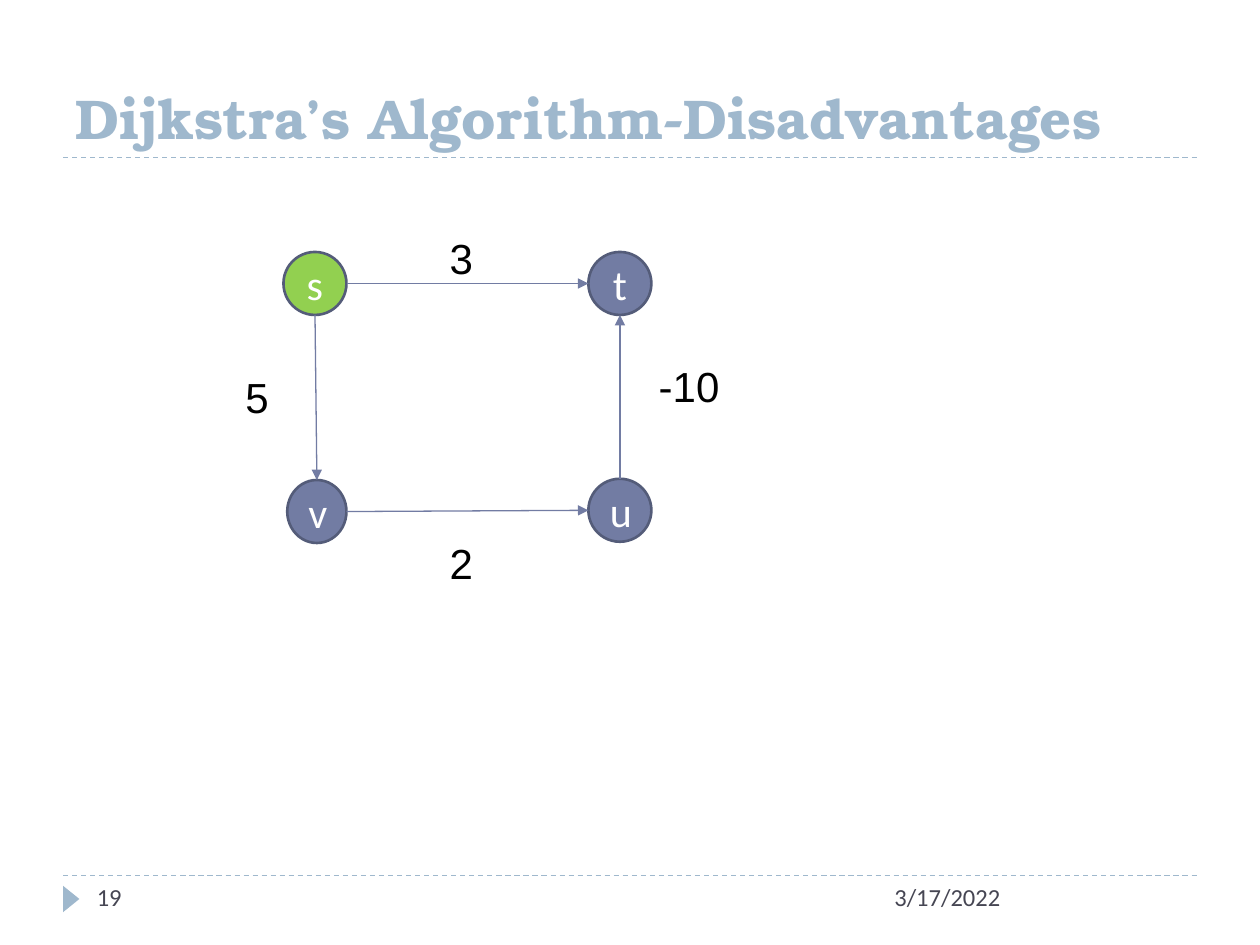
from dataclasses import dataclass

import pptx
import pptx.dml.color
import pptx.enum.dml
import pptx.enum.shapes
import pptx.enum.text
import pptx.oxml.ns
import pptx.util
from lxml import etree

SHAPE = pptx.enum.shapes.MSO_SHAPE
ANCHOR = pptx.enum.text.MSO_ANCHOR
ALIGN = pptx.enum.text.PP_ALIGN
COLUMNS, ROWS = 40, 30


@dataclass(frozen=True)
class Theme:
    accent: str = "9FB8CD"
    node: str = "727CA3"
    source_node: str = "92D050"
    outline: str = "545C79"
    node_text: str = "FFFFFF"
    weight_text: str = "000000"
    footer_text: str = "464653"
    title_font: str = "TeX Gyre Bonum"
    body_font: str = "Calibri"
    weight_font: str = "Arial"
    title_size: float = 32
    graph_size: float = 24
    footer_size: float = 14
    thin: float = 0.75
    thick: float = 1.5


@dataclass(frozen=True)
class Node:
    label: str
    column: float
    row: float
    fill: str
    width: float = 2
    height: float = 2

    def side(self, dx: int, dy: int) -> tuple[float, float]:
        return self.column + dx * self.width / 2, self.row + dy * self.height / 2


@dataclass(frozen=True)
class Edge:
    start: Node
    end: Node
    dx: int
    dy: int
    weight: str
    weight_column: float
    weight_row: float
    weight_width: float = 2.64


THEME = Theme()
prs = pptx.Presentation()
prs.slide_width = pptx.util.Inches(10)
prs.slide_height = pptx.util.Inches(7.5)


def across(columns: float) -> int:
    return round(prs.slide_width * columns / COLUMNS)


def down(rows: float) -> int:
    return round(prs.slide_height * rows / ROWS)


def box(left: float, top: float, width: float, height: float) -> tuple[int, int, int, int]:
    return across(left), down(top), across(width), down(height)


def rgb(value: str) -> pptx.dml.color.RGBColor:
    return pptx.dml.color.RGBColor.from_string(value)


def write(frame, text: str, font: str, size: float, color: str, bold: bool = False) -> None:
    paragraph = frame.paragraphs[0]
    paragraph.text = text
    paragraph.font.name = font
    paragraph.font.size = pptx.util.Pt(size)
    paragraph.font.color.rgb = rgb(color)
    paragraph.font.bold = bold


def add_title(slide, text: str) -> None:
    title = slide.shapes.title
    title.left, title.top, title.width, title.height = box(2, 1, 36, 4)
    frame = title.text_frame
    frame.vertical_anchor = ANCHOR.BOTTOM
    frame.auto_size = pptx.enum.text.MSO_AUTO_SIZE.NONE
    write(frame, text, THEME.title_font, THEME.title_size, THEME.accent, True)
    frame.paragraphs[0].alignment = ALIGN.LEFT


def add_line(slide, start: tuple[float, float], end: tuple[float, float], color: str):
    line = slide.shapes.add_connector(
        pptx.enum.shapes.MSO_CONNECTOR.STRAIGHT,
        across(start[0]), down(start[1]), across(end[0]), down(end[1]),
    )
    line.line.color.rgb = rgb(color)
    line.line.width = pptx.util.Pt(THEME.thin)
    etree.SubElement(line._element.spPr, pptx.oxml.ns.qn("a:effectLst"))
    return line


def add_rule(slide, row: float) -> None:
    rule = add_line(slide, (2, row), (38, row), THEME.accent)
    rule.line.dash_style = pptx.enum.dml.MSO_LINE.DASH


def add_text(slide, place: tuple[int, int, int, int], text: str,
             font: str, size: float, color: str) -> None:
    frame = slide.shapes.add_textbox(*place).text_frame
    frame.word_wrap = True
    write(frame, text, font, size, color)


def add_node(slide, node: Node) -> None:
    left, top = node.side(-1, -1)
    circle = slide.shapes.add_shape(SHAPE.OVAL, *box(left, top, node.width, node.height))
    circle.shadow.inherit = False
    circle.fill.solid()
    circle.fill.fore_color.rgb = rgb(node.fill)
    circle.line.color.rgb = rgb(THEME.outline)
    circle.line.width = pptx.util.Pt(THEME.thick)
    circle.text_frame.vertical_anchor = ANCHOR.MIDDLE
    write(circle.text_frame, node.label, THEME.body_font, THEME.graph_size, THEME.node_text)
    circle.text_frame.paragraphs[0].alignment = ALIGN.CENTER


def add_edge(slide, edge: Edge) -> None:
    arrow = add_line(slide, edge.start.side(edge.dx, edge.dy),
                     edge.end.side(-edge.dx, -edge.dy), THEME.node)
    etree.SubElement(arrow.line._get_or_add_ln(), pptx.oxml.ns.qn("a:tailEnd"), type="triangle")
    add_text(slide, box(edge.weight_column, edge.weight_row, edge.weight_width, 2),
             edge.weight, THEME.weight_font, THEME.graph_size, THEME.weight_text)


def add_footer(slide, left: float, width: float, text: str) -> None:
    add_text(slide, box(left, 27.8, width, 1.6), text,
             THEME.body_font, THEME.footer_size, THEME.footer_text)


def add_page_marker(slide) -> None:
    marker = slide.shapes.add_shape(SHAPE.ISOSCELES_TRIANGLE, *box(1.84, 28.28, 0.84, 0.52))
    marker.rotation = 90
    marker.shadow.inherit = False
    marker.fill.solid()
    marker.fill.fore_color.rgb = rgb(THEME.accent)
    marker.line.fill.background()


def main() -> None:
    slide = prs.slides.add_slide(prs.slide_layouts[5])
    add_title(slide, "Dijkstra’s Algorithm-Disadvantages")
    for row in (27.8, 5):
        add_rule(slide, row)
    add_page_marker(slide)
    add_footer(slide, 28, 10, "3/17/2022")
    add_footer(slide, 2.68, 8.68, "19")

    s = Node("s", 10, 9, THEME.source_node)
    t = Node("t", 19.68, 9, THEME.node)
    u = Node("u", 19.68, 16.2, THEME.node)
    v = Node("v", 10.06, 16.24, THEME.node, width=1.88)
    for node in (u, v, s, t):
        add_node(slide, node)
    for edge in (
        Edge(s, v, 0, 1, "5", 7.4, 11.6),
        Edge(s, t, 1, 0, "3", 13.88, 7.2),
        Edge(v, u, 1, 0, "2", 13.88, 16.88),
        Edge(u, t, 0, -1, "-10", 20.52, 11.24, weight_width=3.84),
    ):
        add_edge(slide, edge)
    prs.save("out.pptx")


if __name__ == "__main__":
    main()
